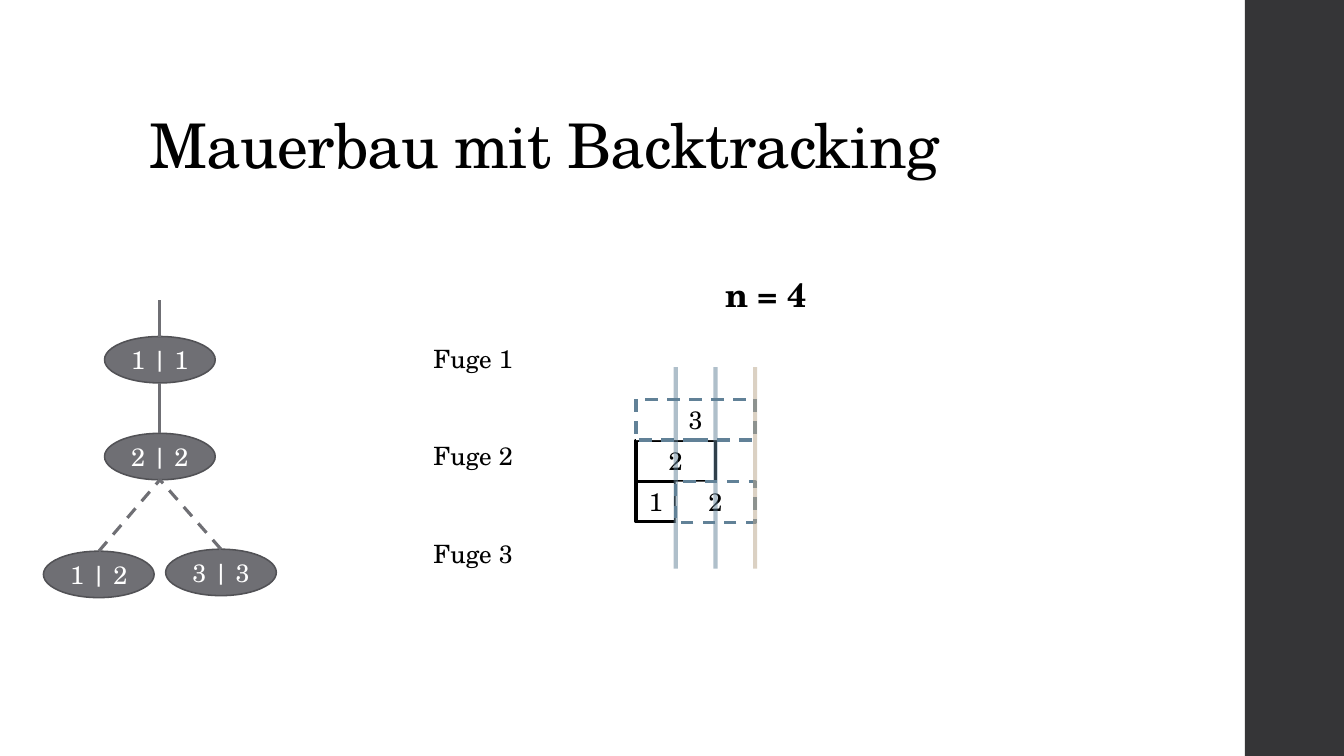
from pptx import Presentation
from pptx.dml.color import RGBColor
from pptx.enum import dml, shapes, text
from pptx.oxml import ns
from pptx.util import Cm, Pt
from lxml import etree

FONT = "TeX Gyre Schola"
COLORS = {
    "black": "000000", "white": "FFFFFF", "band": "353537", "node": "6F6F74",
    "node_edge": "525256", "blue": "618197", "sand": "B9A489",
}
BRICKS = [
    (0, 2.06, 1, "1", False),
    (0, 1.04, 2, "2", False),
    (0, 0, 3, "3", True),
    (1, 2.08, 2, "2", True),
]
NODES = {"1 | 1": (3.6, 0.91), "2 | 2": (3.6, 3.35), "1 | 2": (2.06, 6.32), "3 | 3": (5.14, 6.27)}
NODE_WIDTH, NODE_HEIGHT = 2.79, 1.17


def color(name):
    return RGBColor.from_string(COLORS[name])


def write(frame, words, size, name, align, bold=False):
    para = frame.paragraphs[0]
    para.alignment = align
    span = para.add_run()
    span.text = words
    span.font.name = FONT
    span.font.size = Pt(size)
    span.font.bold = bold
    span.font.color.rgb = color(name)
    return span


def add_solid(page, kind, left, top, width, height, fill, edge=None, weight=0):
    solid = page.shapes.add_shape(kind, Cm(left), Cm(top), Cm(width), Cm(height))
    solid.shadow.inherit = False
    solid.fill.solid()
    solid.fill.fore_color.rgb = color(fill)
    if edge:
        solid.line.color.rgb = color(edge)
        solid.line.width = Pt(weight)
    else:
        solid.line.fill.background()
    return solid


def add_line(page, start, end, name, weight, dashed=False, opacity=100):
    line = page.shapes.add_connector(
        shapes.MSO_CONNECTOR.STRAIGHT, *(Cm(value) for value in (*start, *end)))
    line.line.color.rgb = color(name)
    line.line.width = Pt(weight)
    if dashed:
        line.line.dash_style = dml.MSO_LINE.DASH
    properties = line._element.spPr
    if opacity < 100:
        shade = properties.find(".//" + ns.qn("a:srgbClr"))
        etree.SubElement(shade, ns.qn("a:alpha")).set("val", str(opacity * 1000))
    etree.SubElement(properties, ns.qn("a:effectLst"))


def add_label(page, left, top, width, height, words, size, bold=False):
    box = page.shapes.add_textbox(Cm(left), Cm(top), Cm(width), Cm(height))
    box.text_frame.word_wrap = False
    box.text_frame.auto_size = text.MSO_AUTO_SIZE.SHAPE_TO_FIT_TEXT
    write(box.text_frame, words, size, "black", text.PP_ALIGN.LEFT, bold)


def add_title(page, left, top, width, height):
    title = page.shapes.title
    title.left, title.top, title.width, title.height = Cm(left), Cm(top), Cm(width), Cm(height)
    frame = title.text_frame
    frame.auto_size = text.MSO_AUTO_SIZE.NONE
    frame.vertical_anchor = text.MSO_ANCHOR.BOTTOM
    span = write(frame, "Mauerbau mit Backtracking", 44, "black", text.PP_ALIGN.LEFT)
    span.font._element.set("spc", "-50")
    frame.paragraphs[0].line_spacing = 0.9


def add_wall(page, left, top, unit, row_height):
    for column, offset, length, words, planned in BRICKS:
        brick = add_solid(
            page, shapes.MSO_SHAPE.RECTANGLE, left + column * unit, top + offset,
            length * unit, row_height, "white", "blue" if planned else "black", 2.25)
        if planned:
            brick.line.dash_style = dml.MSO_LINE.DASH
        brick.text_frame.vertical_anchor = text.MSO_ANCHOR.TOP
        brick.text_frame.auto_size = text.MSO_AUTO_SIZE.SHAPE_TO_FIT_TEXT
        write(brick.text_frame, words, 18, "black", text.PP_ALIGN.CENTER)
    for joint, name in enumerate(("blue", "blue", "sand"), 1):
        across = left + joint * unit
        add_line(page, (across, top + 4.27), (across, top - 0.81), name, 3, opacity=50)


def add_tree(page, left, top):
    def head(words):
        across, down = NODES[words]
        return left + across, top + down

    def foot(words):
        across, down = head(words)
        return across, down + NODE_HEIGHT

    for words in NODES:
        center, node_top = head(words)
        node = add_solid(
            page, shapes.MSO_SHAPE.OVAL, center - NODE_WIDTH / 2, node_top,
            NODE_WIDTH, NODE_HEIGHT, "node", "node_edge", 1.1)
        node.text_frame.vertical_anchor = text.MSO_ANCHOR.MIDDLE
        write(node.text_frame, words, 18, "white", text.PP_ALIGN.CENTER)
    root, choice, *options = NODES
    add_line(page, head(root), (head(root)[0], top), "node", 2.25)
    add_line(page, head(choice), foot(root), "node", 2.25)
    for option in options:
        add_line(page, head(option), foot(choice), "node", 2.25, dashed=True)


def add_joint_labels(page, left, top, step):
    for index in range(3):
        add_label(page, left, top + index * step, 2.54, 1.02, f"Fuge {index + 1}", 18)


def main():
    deck = Presentation()
    deck.slide_width, deck.slide_height = Cm(33.87), Cm(19.05)
    page = deck.slides.add_slide(deck.slide_layouts[5])
    add_solid(page, shapes.MSO_SHAPE.RECTANGLE, 31.37, 0, 2.5, 19.05, "band")
    add_title(page, 3.51, 1.02, 26.92, 3.68)
    add_wall(page, 16.03, 10.06, 1, 1.03)
    add_label(page, 18.03, 6.78, 2.59, 1.27, "n = 4", 24, bold=True)
    add_tree(page, 0.43, 7.57)
    add_joint_labels(page, 10.67, 8.53, 2.45)
    deck.save("out.pptx")


if __name__ == "__main__":
    main()
